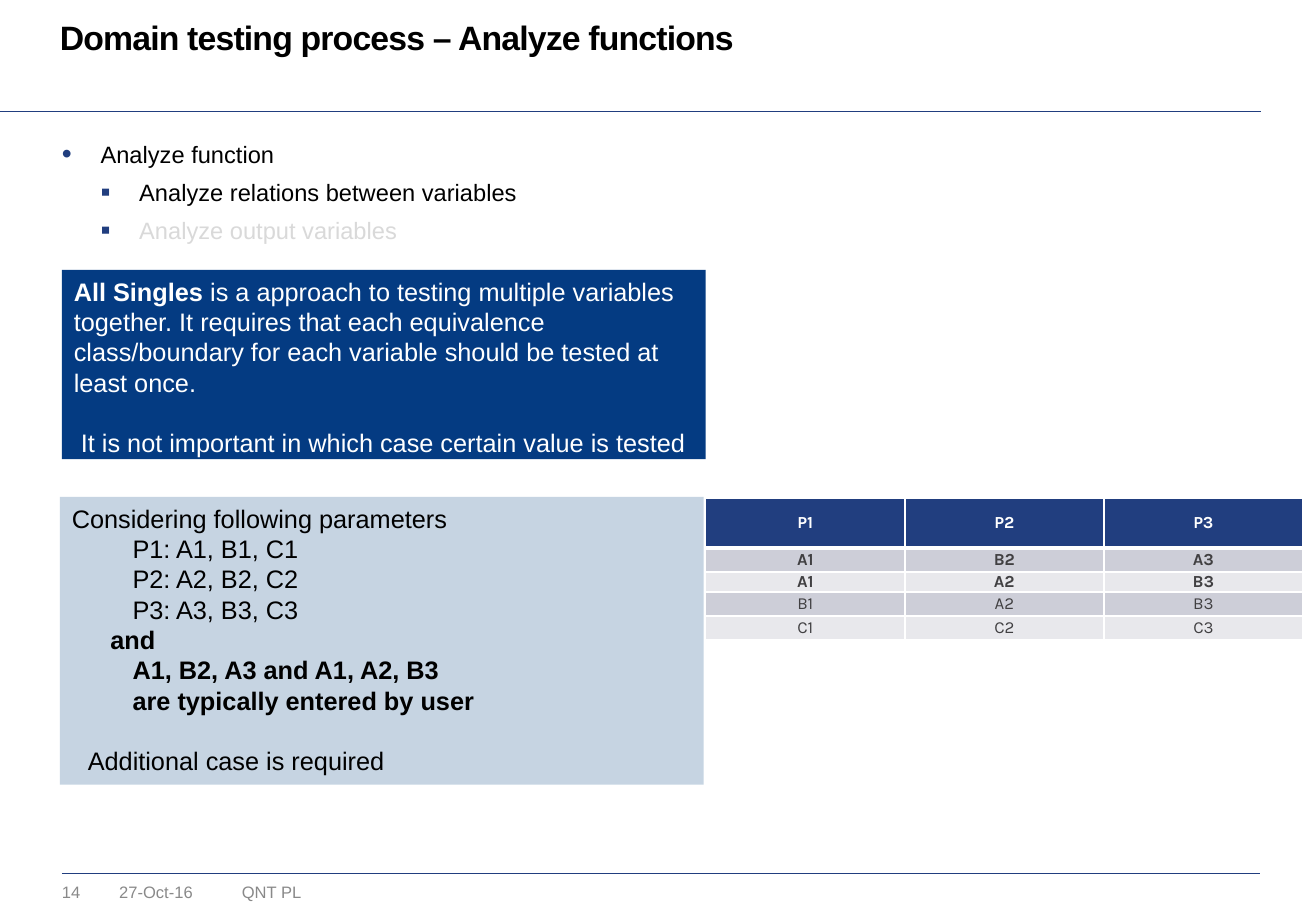
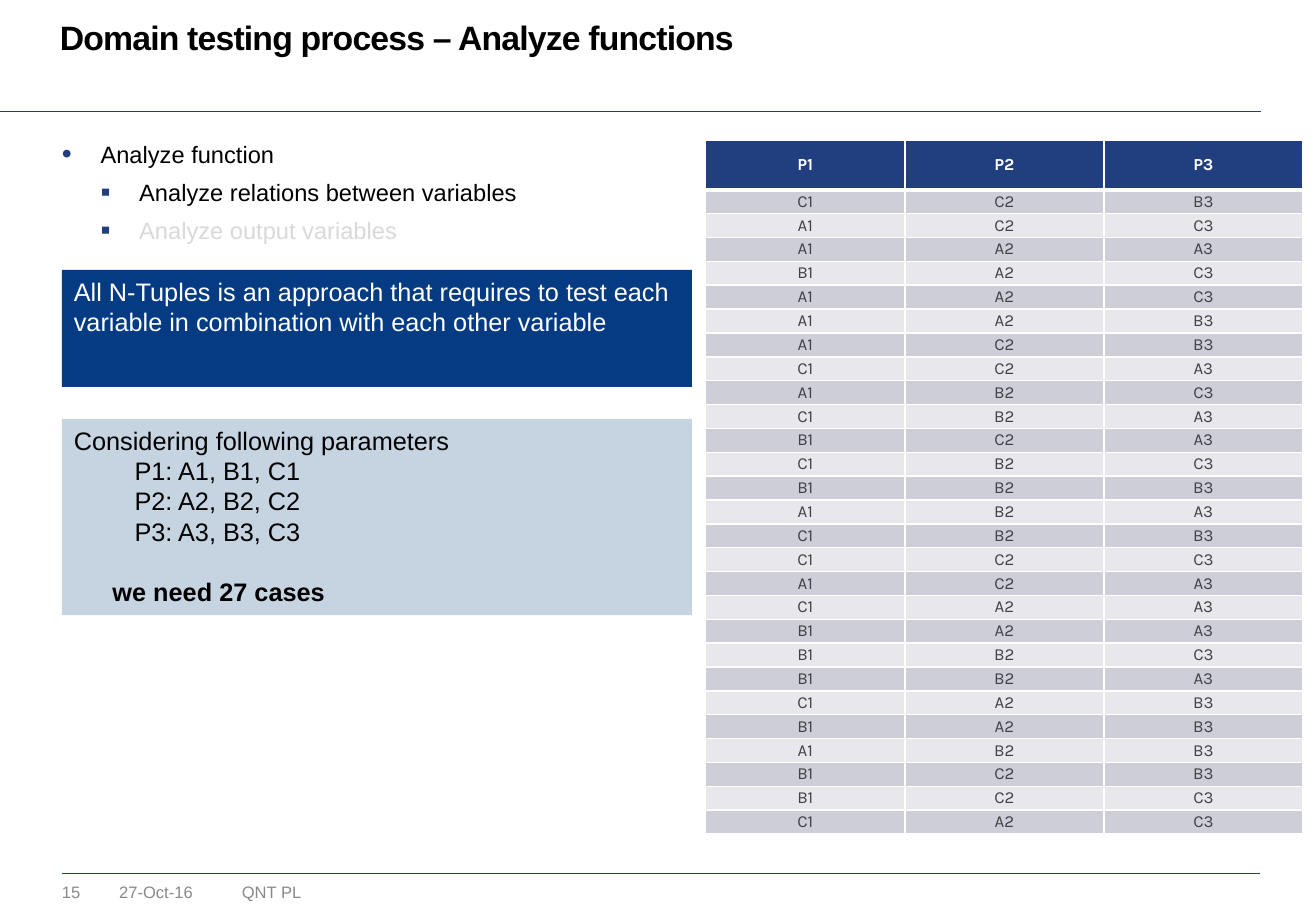
from dataclasses import dataclass

from lxml.etree import SubElement
from pptx import Presentation
from pptx.dml.color import RGBColor
from pptx.enum.shapes import MSO_CONNECTOR, MSO_SHAPE
from pptx.enum.text import MSO_ANCHOR as Anchor, PP_ALIGN as Align
from pptx.oxml.ns import qn
from pptx.util import Pt

COLORS = {
    "black": "000000", "white": "FFFFFF", "navy": "213E7F", "blue": "043B82",
    "pale": "C6D4E2", "muted": "D9D9D9", "footer": "898989", "cell": "414042",
    "odd": "CDCED8", "even": "E8E8EC",
}
TITLE = "Domain testing process – Analyze functions"
LEFT = 36.7
BULLET_STEP = 22.9
TABLE_LEFT = 418.3
COLUMN_WIDTH = 118
HEADER_HEIGHT = 29.5
ROW_HEIGHT = 14.16
BOX_LINE = 18
FOOTER_TOP = 522.7
NO_INSETS = dict.fromkeys(
    ("margin_left", "margin_right", "margin_top", "margin_bottom"), 0)
PARAMETERS = ["P1: A1, B1, C1", "P2: A2, B2, C2", "P3: A3, B3, C3"]
SINGLES_CASES = ["A1 B2 A3", "A1 A2 B3", "B1 A2 B3", "C1 C2 C3"]
TUPLE_CASES = [
    "C1 C2 B3", "A1 C2 C3", "A1 A2 A3", "B1 A2 C3", "A1 A2 C3", "A1 A2 B3",
    "A1 C2 B3", "C1 C2 A3", "A1 B2 C3", "C1 B2 A3", "B1 C2 A3", "C1 B2 C3",
    "B1 B2 B3", "A1 B2 A3", "C1 B2 B3", "C1 C2 C3", "A1 C2 A3", "C1 A2 A3",
    "B1 A2 A3", "B1 B2 C3", "B1 B2 A3", "C1 A2 B3", "B1 A2 B3", "A1 B2 B3",
    "B1 C2 B3", "B1 C2 C3", "C1 A2 C3",
]


@dataclass
class Line:
    text: str
    indent: float = 0
    before: float = 0
    bold: bool = False
    lead: str = ""


def rgb(name):
    return RGBColor.from_string(COLORS[name])


def apply(target, values):
    for attribute, value in values.items():
        setattr(target, attribute, value)


def add_run(paragraph, text, size, color, bold=False, font="Arial"):
    run = paragraph.add_run()
    run.text = text
    apply(run.font, {"name": font, "size": Pt(size), "bold": bold})
    run.font.color.rgb = rgb(color)
    return run


def paragraphs(frame, count):
    return [frame.paragraphs[0]] + [frame.add_paragraph() for _ in range(count - 1)]


def add_text_area(slide, left, top, width, height, wrap=True):
    area = slide.shapes.add_textbox(Pt(left), Pt(top), Pt(width), Pt(height))
    apply(area.text_frame, {**NO_INSETS, "word_wrap": wrap})
    return area.text_frame


def add_rule(slide, start, end, y):
    rule = slide.shapes.add_connector(
        MSO_CONNECTOR.STRAIGHT, Pt(start), Pt(y), Pt(end), Pt(y))
    rule.line.color.rgb = rgb("navy")
    rule.line.width = Pt(0.25)
    SubElement(rule._element.spPr, qn("a:effectLst"))


def add_title(slide):
    title = add_text_area(slide, 35.5, 12.2, 715, 22).paragraphs[0]
    title.line_spacing = Pt(21.7)
    run = add_run(title, TITLE, 20, "black", bold=True)
    run.font._element.set("spc", "-50")


def add_footer(slide, number):
    entries = [(number, LEFT, 28, False), ("27-Oct-16", 70.6, 64, True),
               ("QNT PL", 143.3, 101.5, True)]
    for text, left, width, wrap in entries:
        frame = add_text_area(slide, left, FOOTER_TOP, width, 12, wrap)
        add_run(frame.paragraphs[0], text, 9.8, "footer")


def set_bullet(paragraph, symbol, level):
    properties = paragraph._p.get_or_add_pPr()
    properties.set("marL", str(Pt(BULLET_STEP * (level + 1))))
    properties.set("indent", str(-Pt(BULLET_STEP)))
    color = SubElement(properties, qn("a:buClr"))
    SubElement(color, qn("a:srgbClr"), val=COLORS["navy"])
    SubElement(properties, qn("a:buSzPct"), val="120000")
    SubElement(properties, qn("a:buFont"), typeface="Arial")
    SubElement(properties, qn("a:buChar"), char=symbol)


def add_agenda(slide):
    topics = [("Analyze function", "•", 0, "black"),
              ("Analyze relations between variables", "▪", 1, "black"),
              ("Analyze output variables", "▪", 1, "muted")]
    frame = add_text_area(slide, LEFT, 82.8, 334, 98.6)
    for paragraph, topic in zip(paragraphs(frame, len(topics)), topics):
        text, symbol, level, color = topic
        set_bullet(paragraph, symbol, level)
        apply(paragraph, {"level": level, "line_spacing": Pt(17),
                          "space_before": Pt(5.5 * (topic is not topics[0]))})
        add_run(paragraph, text, 14, color)


def add_box(slide, place, fill, color, lines):
    box = slide.shapes.add_shape(MSO_SHAPE.RECTANGLE, *map(Pt, place))
    box.shadow.inherit = False
    box.fill.solid()
    box.fill.fore_color.rgb = rgb(fill)
    box.line.fill.background()
    frame = box.text_frame
    apply(frame, {"word_wrap": True, "vertical_anchor": Anchor.TOP})
    for paragraph, line in zip(paragraphs(frame, len(lines)), lines):
        apply(paragraph, {"alignment": Align.LEFT, "line_spacing": Pt(BOX_LINE),
                          "space_before": Pt(line.before)})
        paragraph._p.get_or_add_pPr().set("marL", str(Pt(line.indent)))
        if line.lead:
            add_run(paragraph, line.lead, 15, color, bold=True)
        add_run(paragraph, line.text, 15, color, line.bold)


def set_borders(cell, top, bottom):
    properties = cell._tc.get_or_add_tcPr()
    for side, width in (("L", 1), ("R", 1), ("T", top), ("B", bottom)):
        edge = SubElement(properties, qn(f"a:ln{side}"), w=str(Pt(width)))
        fill = SubElement(edge, qn("a:solidFill"))
        SubElement(fill, qn("a:srgbClr"), val=COLORS["white"])


def add_cases(slide, top, cases, bold_cases=0, heights=None):
    rows = ["P1 P2 P3", *cases]
    heights = [HEADER_HEIGHT, *(heights or [ROW_HEIGHT] * len(cases))]
    table = slide.shapes.add_table(
        len(rows), 3, Pt(TABLE_LEFT), Pt(top),
        Pt(3 * COLUMN_WIDTH), Pt(sum(heights))).table
    for column in table.columns:
        column.width = Pt(COLUMN_WIDTH)
    for index, (values, height) in enumerate(zip(rows, heights)):
        table.rows[index].height = Pt(height)
        header = index == 0
        fill = "navy" if header else "odd" if index % 2 else "even"
        for cell, value in zip(table.rows[index].cells, values.split()):
            apply(cell, {**NO_INSETS, "vertical_anchor": Anchor.MIDDLE})
            set_borders(cell, 3 if index == 1 else 1, 3 if header else 1)
            cell.fill.solid()
            cell.fill.fore_color.rgb = rgb(fill)
            paragraph = cell.text_frame.paragraphs[0]
            paragraph.alignment = Align.CENTER
            add_run(paragraph, value, 10, "white" if header else "cell",
                    index <= bold_cases, "Karla")


def add_base(deck, number):
    slide = deck.slides.add_slide(deck.slide_layouts[6])
    add_rule(slide, LEFT, 746.6, 517.7)
    add_rule(slide, -0.7, 747.4, 66.2)
    add_footer(slide, number)
    add_agenda(slide)
    add_title(slide)
    return slide


def parameter_lines():
    return [Line("Considering following parameters"),
            *(Line(text, 36) for text in PARAMETERS)]


def add_all_singles(deck):
    slide = add_base(deck, "14")
    add_box(slide, (LEFT, 160, 381.6, 112.2), "blue", "white", [
        Line(" is a approach to testing multiple variables together. It requires "
             "that each equivalence class/boundary for each variable should be "
             "tested at least once.", lead="All Singles"),
        Line("It is not important in which case certain value is tested",
             4.2, BOX_LINE),
    ])
    add_box(slide, (35.5, 294.5, 381.6, 170.6), "pale", "black", [
        *parameter_lines(),
        Line("and", 22.9, bold=True),
        Line("A1, B2, A3 and A1, A2, B3", 36, bold=True),
        Line("are typically entered by user", 36, bold=True),
        Line("Additional case is required", 9.5, BOX_LINE),
    ])
    add_cases(slide, 295.3, SINGLES_CASES, bold_cases=2,
              heights=[ROW_HEIGHT, 12, ROW_HEIGHT, ROW_HEIGHT])


def add_all_tuples(deck):
    slide = add_base(deck, "15")
    add_box(slide, (LEFT, 160, 373.5, 69.3), "blue", "white", [
        Line("All N-Tuples is an approach that requires to test each variable "
             "in combination with each other variable"),
    ])
    add_box(slide, (LEFT, 248.3, 373.5, 116.3), "pale", "black", [
        *parameter_lines(),
        Line("we need 27 cases", 22.9, BOX_LINE, bold=True),
    ])
    add_cases(slide, 83, TUPLE_CASES)


def main():
    deck = Presentation()
    apply(deck, {"slide_width": Pt(780), "slide_height": Pt(540)})
    add_all_singles(deck)
    add_all_tuples(deck)
    deck.save("out.pptx")


if __name__ == "__main__":
    main()
